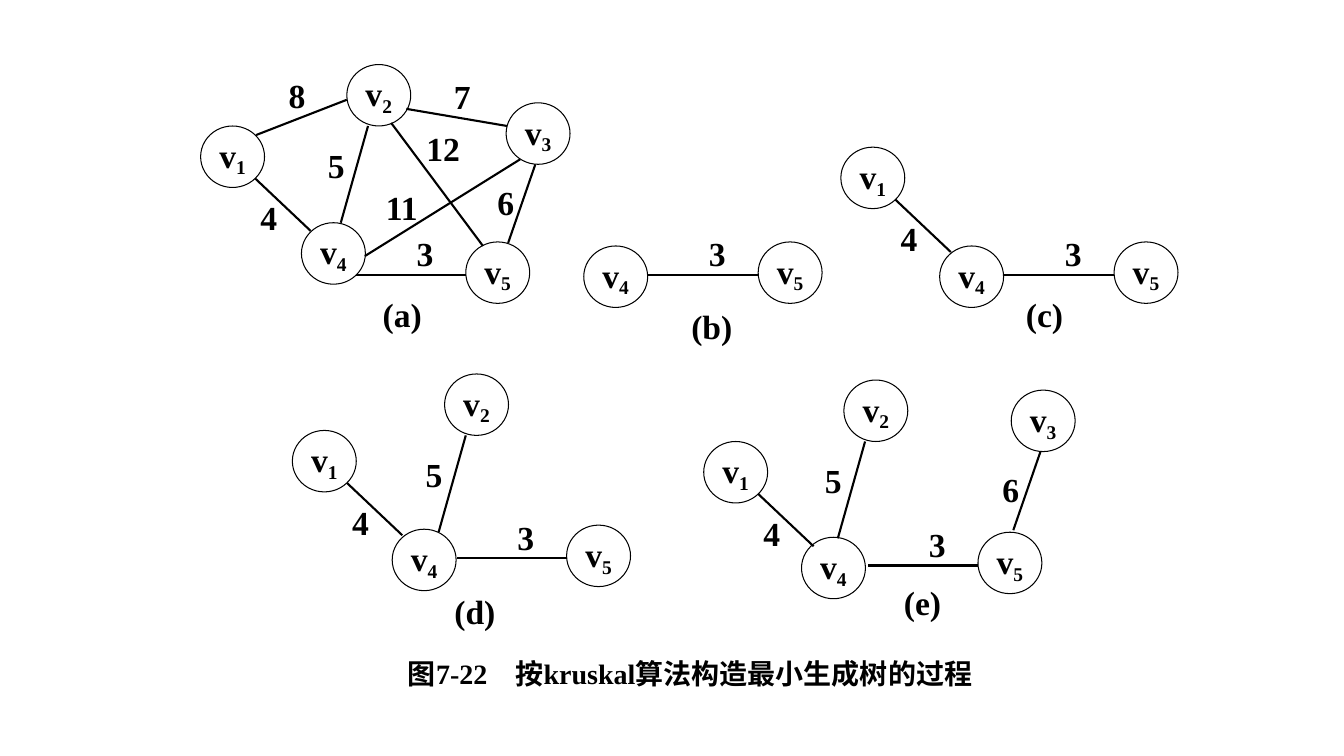
"""Draw the steps of Kruskal's algorithm as five small weighted graphs."""
from typing import NamedTuple

from lxml.etree import SubElement
from pptx import Presentation
from pptx.dml.color import RGBColor
from pptx.enum.shapes import MSO_CONNECTOR, MSO_SHAPE
from pptx.enum.text import MSO_ANCHOR, MSO_AUTO_SIZE, PP_ALIGN
from pptx.oxml.ns import qn
from pptx.shapes.base import BaseShape
from pptx.slide import Slide
from pptx.text.text import TextFrame
from pptx.util import Inches, Length, Pt

COLORS = {"ink": "000000"}
FONT = "Times New Roman"
CELL = 0.1
NODE_COLS, NODE_ROWS = 6.34, 6.1
WEIGHT_COLS, LETTER_COLS, TEXT_ROWS = 4.5, 5.4, 4.3


class Point(NamedTuple):
    """A grid position or an offset, in columns and rows."""
    col: float
    row: float

    def shifted(self, offset: "Point") -> "Point":
        return Point(self.col + offset.col, self.row + offset.row)


class Edge(NamedTuple):
    """A weighted edge, placed by offsets from its anchor vertex."""
    anchor: int
    weight: Point
    begin: Point
    end: Point


class Graph(NamedTuple):
    """One stage of the algorithm."""
    letter: str
    letter_at: Point
    vertices: dict[int, Point]
    weights: tuple[int, ...]


EDGES = {
    3: Edge(5, Point(-6.3, -1), Point(-10.9, 3.3), Point(0, 3.3)),
    4: Edge(1, Point(4.5, 6.9), Point(5.4, 5.2), Point(10.9, 10.4)),
    5: Edge(2, Point(-3.3, 7.8), Point(2.1, 6.1), Point(-0.6, 15.7)),
    6: Edge(3, Point(-2.3, 7.7), Point(2.9, 6.1), Point(0.2, 13.9)),
    7: Edge(2, Point(9.2, 1), Point(5.9, 4.4), Point(15.9, 6.1)),
    8: Edge(1, Point(7.3, -5.2), Point(5.5, 0.9), Point(14.5, -2.6)),
    11: Edge(4, Point(7.7, -3.7), Point(6.3, 3.3), Point(21.7, -6.3)),
    12: Edge(2, Point(7.3, 6.1), Point(4.4, 5.8), Point(13.5, 18)),
}

GRAPHS = (
    Graph("a", Point(37.2, 29),
          {1: Point(19.9, 12.5), 2: Point(34.4, 6.4), 3: Point(50.2, 10.2),
           4: Point(29.9, 22.1), 5: Point(46.2, 24)},
          (3, 4, 5, 6, 7, 8, 11, 12)),
    Graph("b", Point(67.9, 30.2),
          {4: Point(57.9, 24.4), 5: Point(75.2, 24)}, (3,)),
    Graph("c", Point(100.9, 29),
          {1: Point(83.4, 14.6), 4: Point(93.2, 24.4), 5: Point(110.5, 24)},
          (3, 4)),
    Graph("d", Point(44.4, 58.5),
          {1: Point(29, 42.7), 2: Point(44.1, 37.1), 4: Point(38.9, 52.5),
           5: Point(56.2, 52.1)},
          (3, 4, 5)),
    Graph("e", Point(88.8, 57.6),
          {1: Point(69.8, 43.8), 2: Point(83.7, 37.7), 3: Point(100.3, 38.7),
           4: Point(79.5, 53.3), 5: Point(97, 52.8)},
          (3, 4, 5, 6)),
)


def cells(count: float) -> Length:
    return Inches(count * CELL)


def write(frame: TextFrame, text: str, size: int = 24, subscript: str = "") -> None:
    frame.word_wrap = False
    frame.auto_size = MSO_AUTO_SIZE.NONE
    frame.vertical_anchor = MSO_ANCHOR.MIDDLE
    frame.margin_left = frame.margin_right = 0
    frame.margin_top = frame.margin_bottom = 0
    paragraph = frame.paragraphs[0]
    paragraph.alignment = PP_ALIGN.CENTER
    paragraph.font.name = FONT
    paragraph.font.size = Pt(size)
    paragraph.font.bold = True
    paragraph.font.color.rgb = RGBColor.from_string(COLORS["ink"])
    paragraph.add_run().text = text
    if subscript:
        index = paragraph.add_run()
        index.text = subscript
        index._r.get_or_add_rPr().set("baseline", "-20000")


def draw_label(slide: Slide, at: Point, cols: float, text: str) -> None:
    label = slide.shapes.add_textbox(
        cells(at.col), cells(at.row), cells(cols), cells(TEXT_ROWS))
    write(label.text_frame, text)


def draw_vertex(slide: Slide, at: Point, number: int) -> None:
    vertex = slide.shapes.add_shape(
        MSO_SHAPE.OVAL, cells(at.col), cells(at.row),
        cells(NODE_COLS), cells(NODE_ROWS))
    vertex.shadow.inherit = False
    vertex.fill.background()
    ink(vertex, 0.75)
    write(vertex.text_frame, "v", subscript=str(number))


def ink(outlined: BaseShape, width: float) -> None:
    outlined.line.color.rgb = RGBColor.from_string(COLORS["ink"])
    outlined.line.width = Pt(width)


def draw_edge(slide: Slide, anchor: Point, edge: Edge, weight: int) -> None:
    begin, end = anchor.shifted(edge.begin), anchor.shifted(edge.end)
    link = slide.shapes.add_connector(
        MSO_CONNECTOR.STRAIGHT, cells(begin.col), cells(begin.row),
        cells(end.col), cells(end.row))
    ink(link, 1.5)
    SubElement(link._element.spPr, qn("a:effectLst"))
    draw_label(slide, anchor.shifted(edge.weight), WEIGHT_COLS, str(weight))


def draw_graph(slide: Slide, graph: Graph) -> None:
    for weight in graph.weights:
        edge = EDGES[weight]
        draw_edge(slide, graph.vertices[edge.anchor], edge, weight)
    for number, at in graph.vertices.items():
        draw_vertex(slide, at, number)
    draw_label(slide, graph.letter_at, LETTER_COLS, f"({graph.letter})")


def main() -> None:
    deck = Presentation()
    deck.slide_width, deck.slide_height = Inches(13.33), Inches(7.5)
    slide = deck.slides.add_slide(deck.slide_layouts[5])
    caption = slide.shapes.title
    caption.left, caption.top = cells(34.5), cells(64.6)
    caption.width, caption.height = cells(67.9), cells(TEXT_ROWS)
    write(caption.text_frame, "图7-22　按kruskal算法构造最小生成树的过程", size=20)
    for graph in GRAPHS:
        draw_graph(slide, graph)
    deck.save("out.pptx")


if __name__ == "__main__":
    main()
